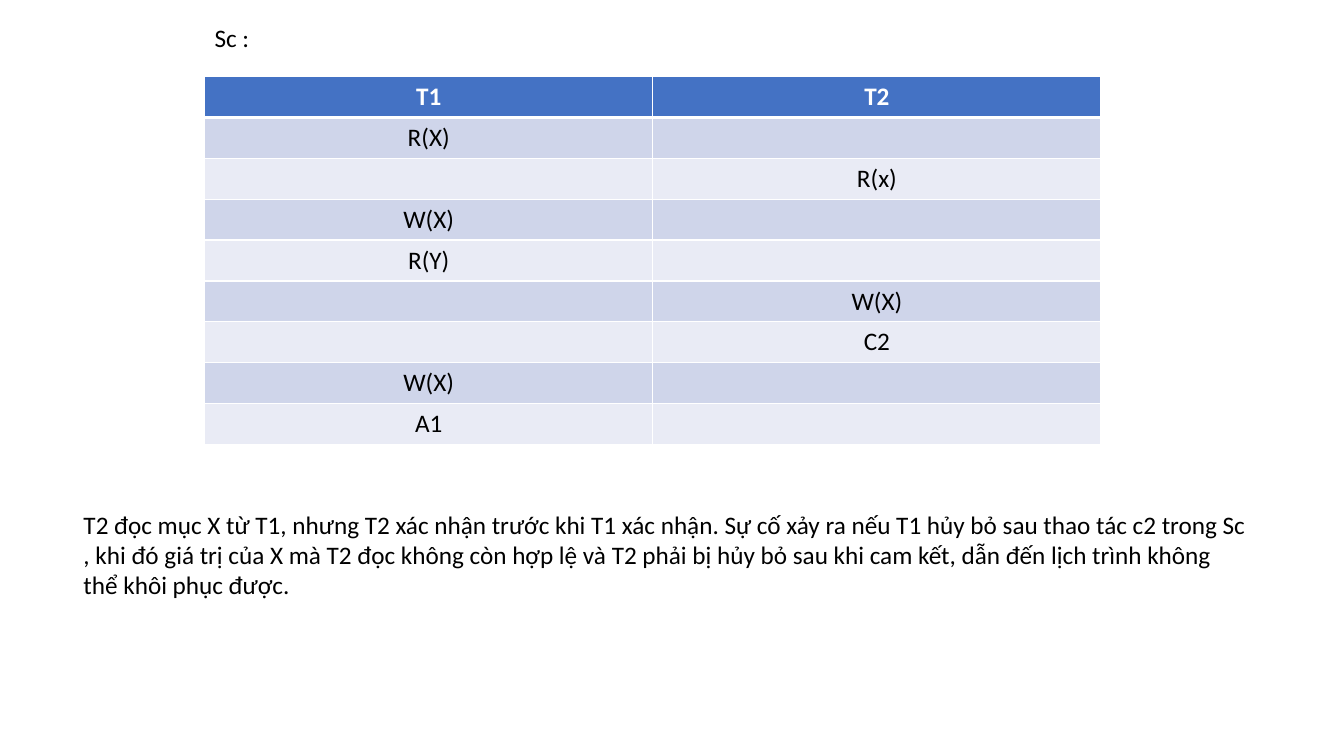
from dataclasses import dataclass

from lxml import etree
from pptx import Presentation
from pptx import util as u
from pptx.dml.color import RGBColor
from pptx.enum import text
from pptx.oxml import ns


@dataclass(frozen=True)
class Theme:
    font: str = "Calibri"
    size: int = 18
    ink: str = "000000"
    light: str = "FFFFFF"
    head: str = "4472C4"
    bands: tuple = ("CFD5EA", "E9EBF5")
    thin: int = 1
    thick: int = 3


THEME = Theme()
STEPS = [
    ("T1", "T2"),
    ("R(X)", ""),
    ("", "R(x)"),
    ("W(X)", ""),
    ("R(Y)", ""),
    ("", "W(X)"),
    ("", "C2"),
    ("W(X)", ""),
    ("A1", ""),
]
NOTE = (
    "T2 đọc mục X từ T1, nhưng T2 xác nhận trước khi T1 xác nhận. "
    "Sự cố xảy ra nếu T1 hủy bỏ sau thao tác c2 trong Sc , khi đó giá trị "
    "của X mà T2 đọc không còn hợp lệ và T2 phải bị hủy bỏ sau khi cam kết, "
    "dẫn đến lịch trình không thể khôi phục được."
)


def write(frame, words, color=THEME.ink, bold=False, align=text.PP_ALIGN.LEFT):
    frame.word_wrap = True
    para = frame.paragraphs[0]
    para.alignment = align
    para.font.size = u.Pt(THEME.size)
    if words:
        run = para.add_run()
        run.text = words
        run.font.name = THEME.font
        run.font.size = u.Pt(THEME.size)
        run.font.bold = bold
        run.font.color.rgb = RGBColor.from_string(color)


def label(slide, box, words):
    shape = slide.shapes.add_textbox(*map(u.Inches, box))
    write(shape.text_frame, words)
    shape.text_frame.auto_size = text.MSO_AUTO_SIZE.SHAPE_TO_FIT_TEXT


def edge(cell, side, width):
    props = cell._tc.get_or_add_tcPr()
    line = etree.SubElement(props, ns.qn(f"a:ln{side}"), w=str(u.Pt(width)))
    fill = etree.SubElement(line, ns.qn("a:solidFill"))
    etree.SubElement(fill, ns.qn("a:srgbClr"), val=THEME.light)


def schedule(slide, box, steps):
    left, top, width, height = map(u.Inches, box)
    rows, cols = len(steps), len(steps[0])
    table = slide.shapes.add_table(rows, cols, left, top, width, height).table
    for row in table.rows:
        row.height = height // rows
    for r, step in enumerate(steps):
        head = r == 0
        for c, words in enumerate(step):
            cell = table.cell(r, c)
            edge(cell, "L", THEME.thin)
            edge(cell, "R", THEME.thin)
            edge(cell, "T", THEME.thick if r == 1 else THEME.thin)
            edge(cell, "B", THEME.thick if head else THEME.thin)
            cell.fill.solid()
            shade = THEME.head if head else THEME.bands[(r - 1) % 2]
            cell.fill.fore_color.rgb = RGBColor.from_string(shade)
            write(cell.text_frame, words, bold=head,
                  color=THEME.light if head else THEME.ink,
                  align=text.PP_ALIGN.CENTER)


def main():
    deck = Presentation()
    deck.slide_width, deck.slide_height = u.Inches(13.33), u.Inches(7.5)
    slide = deck.slides.add_slide(deck.slide_layouts[6])
    schedule(slide, (2.03, 0.76, 8.89, 3.65), STEPS)
    label(slide, (2.03, 0.17, 1.04, 0.4), "Sc :")
    label(slide, (0.73, 5, 11.76, 1.01), NOTE)
    deck.save("out.pptx")


if __name__ == "__main__":
    main()
